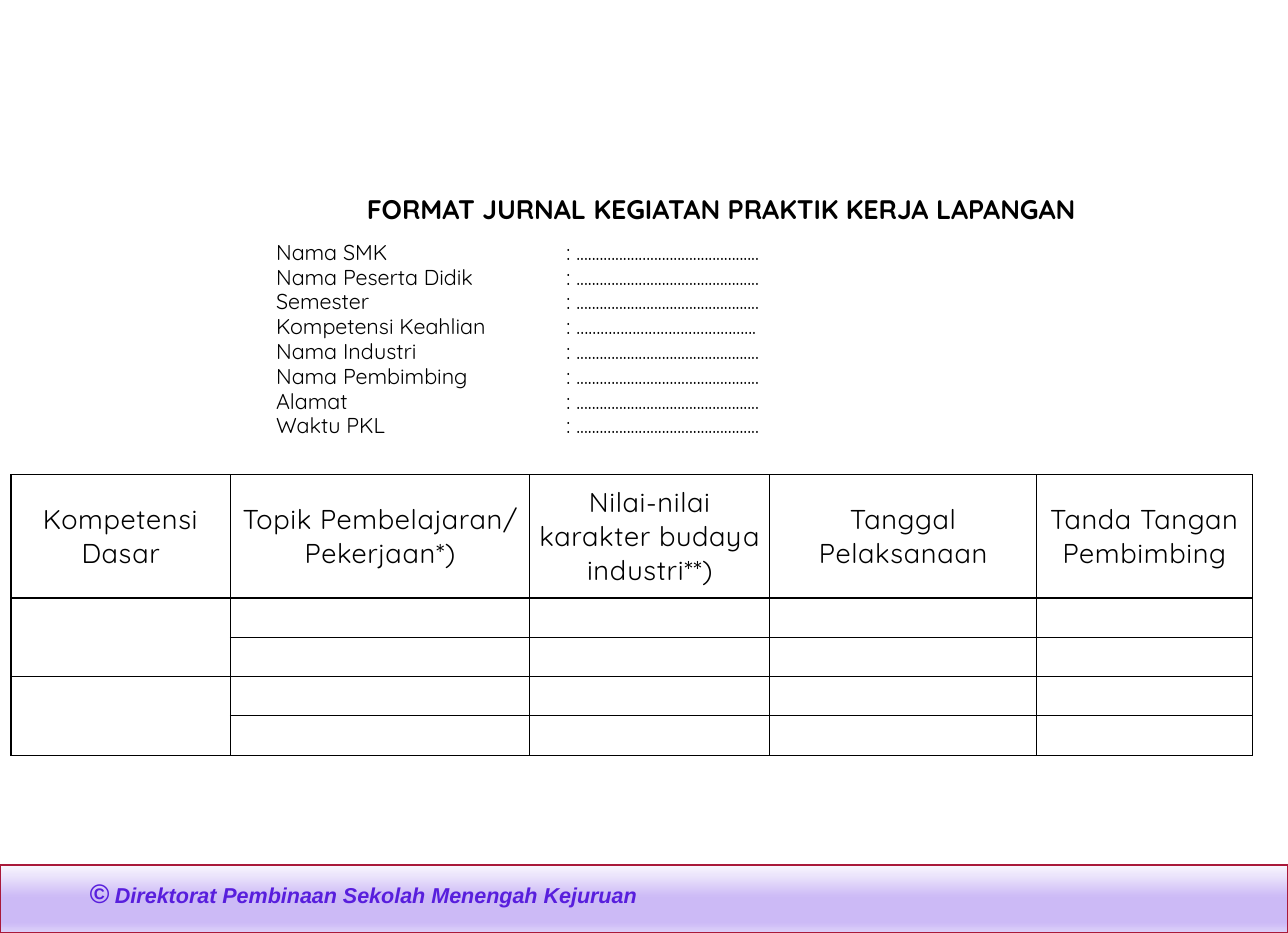
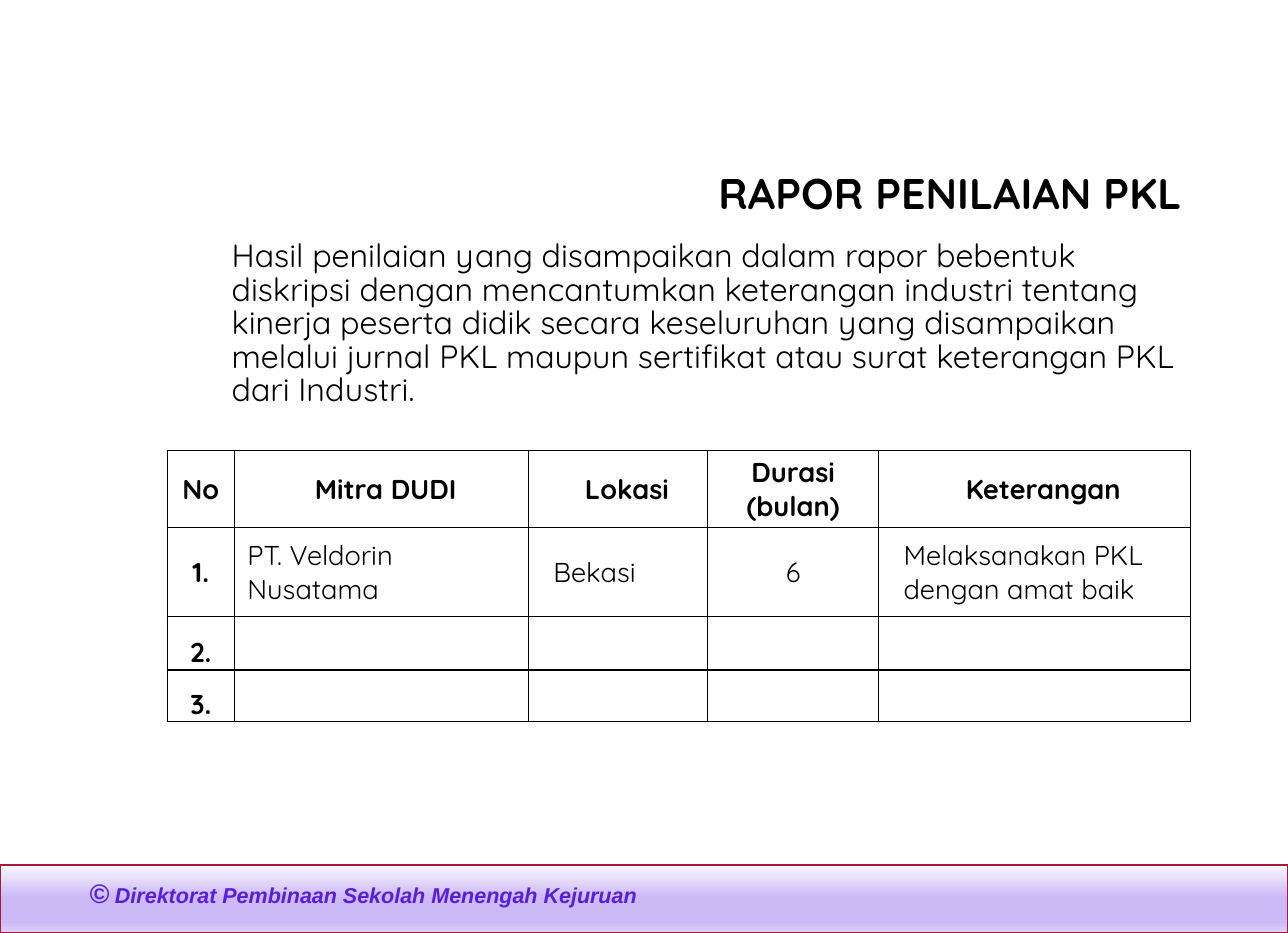
from dataclasses import dataclass

from lxml import etree
from pptx import Presentation
from pptx.dml.color import RGBColor
from pptx.enum import shapes, text
from pptx.oxml import ns
from pptx.util import Cm, Pt

ALIGN = text.PP_ALIGN
MIDDLE = text.MSO_ANCHOR.MIDDLE


@dataclass(frozen=True)
class Theme:
    font: str = "Quicksand"
    footer_font: str = "Arial"
    ink: str = "000000"
    paper: str = "FFFFFF"
    footer_ink: str = "581EDD"
    band_line: str = "A9193A"
    band_stops: tuple = ((0, "F9F7FE"), (48, "CCBAF6"), (84, "CCBAF6"), (100, "DDD1F9"))
    heading: float = 33.1
    body: float = 24.8
    cell: float = 21
    subheading: float = 20.7
    small: float = 16.6


THEME = Theme()


@dataclass(frozen=True)
class Box:
    left: float
    top: float
    width: float
    height: float

    def lengths(self):
        return [Cm(side) for side in (self.left, self.top, self.width, self.height)]


@dataclass(frozen=True)
class Entry:
    lines: tuple
    align: ALIGN = ALIGN.CENTER
    bold: bool = False
    margin: float = 0
    indent: float = 0
    spacing: float = 1
    tracking: float = 0


def child(parent, tag, **attributes):
    return etree.SubElement(parent, ns.qn(tag), attributes)


def add_span(para, words, size, bold=False, italic=False,
             font=THEME.font, color=THEME.ink, tracking=0):
    span = para.add_run()
    span.text = words
    span.font.name = font
    span.font.size = Pt(size)
    span.font.bold = bold
    span.font.italic = italic
    span.font.color.rgb = RGBColor.from_string(color)
    if tracking:
        span.font._element.set("spc", str(round(tracking * 100)))


def set_para(para, align=ALIGN.LEFT, margin=0, indent=0, spacing=1):
    properties = para._p.get_or_add_pPr()
    properties.set("marL", str(Cm(margin)))
    properties.set("indent", str(Cm(indent)))
    para.alignment = align
    para.line_spacing = spacing
    para.space_before = Pt(0)
    child(properties, "a:buNone")


def paragraphs(frame, count):
    return [frame.paragraphs[0]] + [frame.add_paragraph() for _ in range(count - 1)]


def place(holder, box, anchor):
    holder.left, holder.top, holder.width, holder.height = box.lengths()
    frame = holder.text_frame
    frame.word_wrap = True
    frame.auto_size = text.MSO_AUTO_SIZE.NONE
    frame.vertical_anchor = anchor
    return frame


def add_title(page, box, words, size, align):
    para = place(page.shapes.title, box, MIDDLE).paragraphs[0]
    set_para(para, align, spacing=0.9)
    add_span(para, words, size, bold=True)


def add_body(page, box, lines, size, spacing, hang=0):
    frame = place(page.placeholders[1], box, text.MSO_ANCHOR.TOP)
    for para, words in zip(paragraphs(frame, len(lines)), lines):
        set_para(para, margin=hang, indent=-hang, spacing=spacing)
        add_span(para, words, size)


def fill_cell(cell, entry, side):
    cell.vertical_anchor = MIDDLE
    cell.margin_left = cell.margin_right = Cm(side)
    cell.margin_top = cell.margin_bottom = 0
    for para, words in zip(paragraphs(cell.text_frame, len(entry.lines)), entry.lines):
        set_para(para, entry.align, entry.margin, entry.indent, entry.spacing)
        add_span(para, words, THEME.cell, entry.bold, tracking=entry.tracking)


def dress_cell(cell):
    cell.fill.solid()
    cell.fill.fore_color.rgb = RGBColor.from_string(THEME.paper)
    properties = cell._tc.get_or_add_tcPr()
    for order, tag in enumerate(("a:lnL", "a:lnR", "a:lnT", "a:lnB")):
        border = child(properties, tag, w=str(Pt(1)))
        child(child(border, "a:solidFill"), "a:srgbClr", val=THEME.ink)
        properties.insert(order, border)


def add_grid(page, left, top, widths, heights, entries, side=0):
    box = Box(left, top, sum(widths), sum(heights))
    table = page.shapes.add_table(len(heights), len(widths), *box.lengths()).table
    table.first_row = table.horz_banding = False
    for column, width in zip(table.columns, widths):
        column.width = Cm(width)
    for row, height in zip(table.rows, heights):
        row.height = Cm(height)
    for cell in table.iter_cells():
        dress_cell(cell)
    for (row, column), entry in entries.items():
        fill_cell(table.cell(row, column), entry, side)
    return table


def add_footer(deck, page, box):
    band = page.shapes.add_shape(shapes.MSO_SHAPE.RECTANGLE, *box.lengths())
    band.shadow.inherit = False
    band.line.color.rgb = RGBColor.from_string(THEME.band_line)
    band.line.width = Pt(1)
    band.fill.gradient()
    band.fill.gradient_angle = 270
    stops = band.element.spPr.find(".//" + ns.qn("a:gsLst"))
    for stop in list(stops):
        stops.remove(stop)
    for percent, color in THEME.band_stops:
        stop = child(stops, "a:gs", pos=str(percent * 1000))
        child(stop, "a:srgbClr", val=color)

    credit_box = Box(box.left + 2.18, box.top + 0.2, 21.36, 1.14)
    credit = page.shapes.add_textbox(*credit_box.lengths())
    credit.text_frame.word_wrap = True
    para = credit.text_frame.paragraphs[0]
    for words, size in (("©", THEME.subheading),
                        (" Direktorat Pembinaan Sekolah Menengah Kejuruan", THEME.small)):
        add_span(para, words, size, True, True, THEME.footer_font, THEME.footer_ink)

    for number, shape in enumerate((band, credit), start=101):
        shape.element.nvSpPr.cNvPr.set("id", str(number))
        deck.slide_master.element.cSld.spTree.append(shape.element)


def build_journal(page, box):
    add_title(page, Box(box.left + 7.26, box.top + 5.16, 24.74, 1.15),
              "FORMAT JURNAL KEGIATAN PRAKTIK KERJA LAPANGAN",
              THEME.subheading, ALIGN.CENTER)
    dots = "." * 47
    fields = {
        "Nama SMK": dots,
        "Nama Peserta Didik": dots,
        "Semester": dots,
        "Kompetensi Keahlian": "……………………………………...",
        "Nama Industri": dots,
        "Nama Pembimbing": dots,
        "Alamat": dots,
        "Waktu PKL": dots,
    }
    add_body(page, Box(box.left + 7.26, box.top + 6.42, 24.74, 6),
             [f"{label}\t: {blank}" for label, blank in fields.items()],
             THEME.small, spacing=0.96, hang=7.9)
    headers = (
        ("Kompetensi Dasar",),
        ("Topik Pembelajaran/", "Pekerjaan*)"),
        ("Nilai-nilai karakter budaya industri**)",),
        ("Tanggal Pelaksanaan",),
        ("Tanda Tangan Pembimbing",),
    )
    entries = {(0, column): Entry(lines, tracking=0.5)
               for column, lines in enumerate(headers)}
    table = add_grid(page, box.left + 0.3, box.top + 12.93,
                     (5.97, 8.15, 6.53, 7.26, 5.87), (3.35,) + (1.07,) * 4, entries)
    for row in (1, 3):
        table.cell(row, 0).merge(table.cell(row + 1, 0))


def build_report(page, box):
    add_title(page, Box(box.left + 12.29, box.top + 4.24, 20.12, 2.18),
              "RAPOR PENILAIAN PKL", THEME.heading, ALIGN.RIGHT)
    add_body(page, Box(box.left + 6.05, box.top + 6.43, 26.37, 4.93),
             ["Hasil penilaian yang disampaikan dalam rapor bebentuk diskripsi dengan "
              "mencantumkan keterangan industri tentang kinerja peserta didik secara "
              "keseluruhan yang disampaikan melalui jurnal PKL maupun sertifikat atau "
              "surat keterangan PKL dari Industri."],
             THEME.body, spacing=0.87)
    entries = {
        (0, 0): Entry(("No",), bold=True, margin=1.27, indent=-1.27),
        (0, 1): Entry(("Mitra DUDI",), bold=True, margin=1.27, indent=-1.04),
        (0, 2): Entry(("Lokasi",), bold=True, margin=1.27, indent=-0.79),
        (0, 3): Entry(("Durasi (bulan)",), bold=True),
        (0, 4): Entry(("Keterangan",), bold=True, margin=1.27, indent=-0.79),
        (1, 0): Entry(("1.",), bold=True),
        (1, 1): Entry(("PT. Veldorin Nusatama",), ALIGN.LEFT, margin=0.15),
        (1, 2): Entry(("Bekasi",), ALIGN.LEFT, margin=1.27, indent=-0.79),
        (1, 3): Entry(("6",)),
        (1, 4): Entry(("Melaksanakan PKL dengan amat baik",), ALIGN.LEFT, margin=0.48),
        (2, 0): Entry(("2.",), bold=True, spacing=1.5),
        (3, 0): Entry(("3.",), bold=True, spacing=1.5),
    }
    add_grid(page, box.left + 4.55, box.top + 12.27,
             (1.83, 8, 4.88, 4.65, 8.48), (2.08, 2.44, 1.45, 1.32), entries, side=0.2)


def main():
    deck = Presentation()
    area = Box(0, 0, 35.05, 25.4)
    deck.slide_width, deck.slide_height = area.lengths()[2:]
    layout = deck.slide_layouts[1]
    pages = [deck.slides.add_slide(layout) for _ in range(2)]
    add_footer(deck, pages[0], Box(0, 23.55, area.width, 1.85))
    build_journal(pages[0], area)
    build_report(pages[1], area)
    deck.save("out.pptx")


if __name__ == "__main__":
    main()
